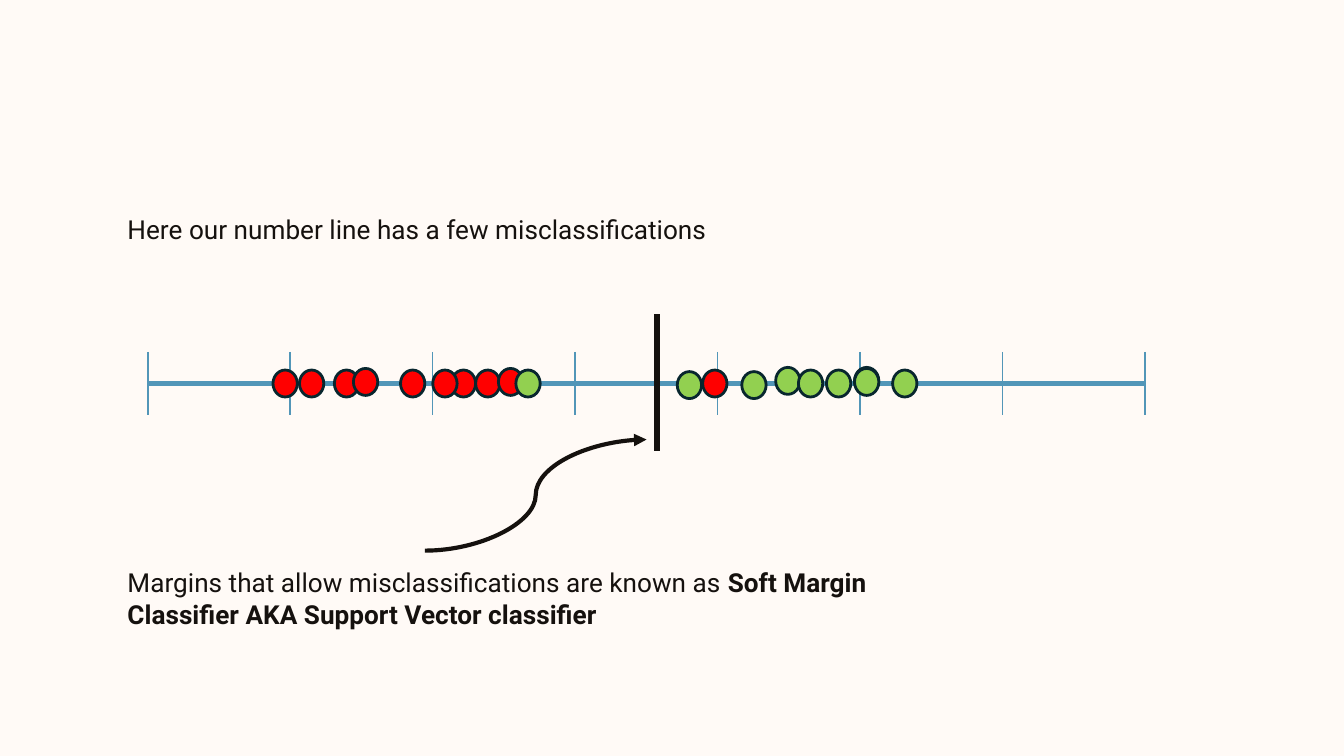
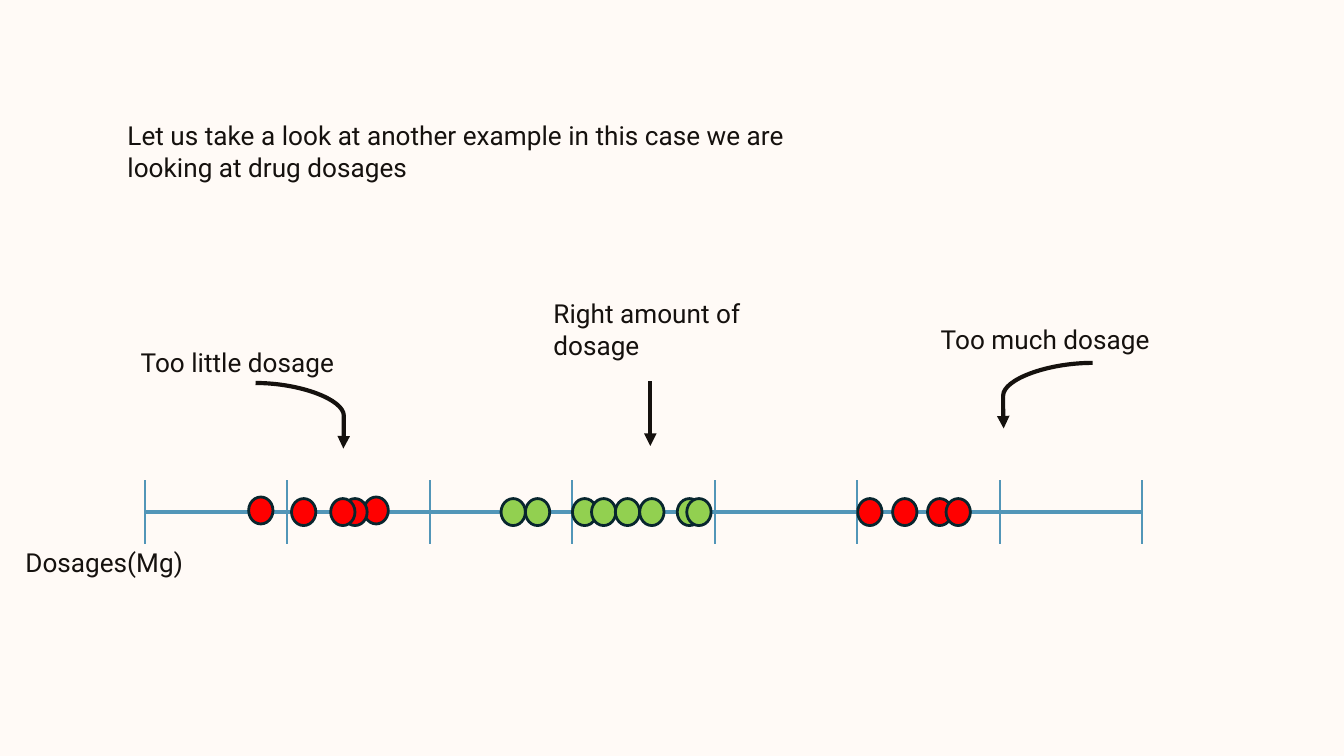
from pptx import Presentation
from pptx import util as u
from pptx.dml.color import RGBColor
from pptx.enum import shapes, text
from pptx.oxml import parse_xml
from pptx.oxml.ns import nsdecls

CREAM = RGBColor(0xFF, 0xFA, 0xF6)
INK = RGBColor(0x15, 0x11, 0x0E)
BLUE = RGBColor(0x52, 0x96, 0xB8)
EDGE = RGBColor(0x08, 0x26, 0x2E)
RED = RGBColor(0xFF, 0x00, 0x00)
GREEN = RGBColor(0x92, 0xD0, 0x50)

FONT = "Roboto"
WIDE, SMALL, TALL = 14.55, 4.67, 2.01
LENGTH, PARTS, TICK = 18.85, 7, 0.6
DOT_W, DOT_H = 0.46, 0.51

SLIDES = [
    {
        "axis": (2.79, 7.25),
        "dots": [
            (RED, [5.66, 6.32, 8.53, (6.68, -0.03), 7.57, 8.18, 5.16,
                   8.99, (9.42, -0.03)]),
            (GREEN, [(14.66, -0.05), 15.09, (14.02, 0.03), 15.62,
                     (16.15, -0.05), 16.87, (16.15, -0.03), (12.8, 0.03)]),
            (RED, [13.28]),
            (GREEN, [9.75]),
        ],
        "texts": [
            (2.16, 10.46, WIDE, [
                ("Margins that allow misclassifications are known as ", False),
                ("Soft Margin Classifier AKA Support Vector classifier", True),
            ]),
            (2.16, 3.78, WIDE, [
                ("Here our number line has a few misclassifications", False),
            ]),
        ],
        "margin": (12.42, 5.94, 12.42, 8.53),
        "arrows": [("curve", 8.03, 10.41, 12.22, 8.31, 50000)],
    },
    {
        "axis": (2.74, 9.68),
        "dots": [
            (GREEN, [9.47]),
            (RED, [(6.88, -0.03)]),
            (GREEN, [10.82, 11.18, 9.93, 11.63, 12.09, 12.8, 12.98]),
            (RED, [16.21, 16.87, 17.53, 17.88, 6.48, 6.25,
                   (4.7, -0.03), 5.51]),
        ],
        "texts": [
            (2.16, 2.01, WIDE, [
                ("Let us take a look at another example in this case "
                 "we are looking at drug dosages", False),
            ]),
            (2.41, 6.3, SMALL, [("Too little dosage", False)]),
            (10.21, 5.38, SMALL, [("Right amount of dosage", False)]),
            (17.53, 5.87, SMALL, [("Too much dosage", False)]),
            (0.23, 10.08, WIDE, [("Dosages(Mg)", False)]),
        ],
        "margin": None,
        "arrows": [
            ("curve", 4.83, 7.24, 6.49, 8.48, 100600),
            ("line", 12.29, 7.21, 12.29, 8.43, None),
            ("curve", 20.65, 6.86, 18.97, 8.1, 100600),
        ],
    },
]


def add_line(slide, ends, color, width, kind="line"):
    form = shapes.MSO_CONNECTOR.CURVE if kind == "curve" else shapes.MSO_CONNECTOR.STRAIGHT
    line = slide.shapes.add_connector(form, *[u.Cm(n) for n in ends])
    line.line.color.rgb = color
    line.line.width = u.Pt(width)
    line._element.spPr.append(parse_xml(f"<a:effectLst {nsdecls('a')}/>"))
    return line


def add_arrow(slide, kind, x1, y1, x2, y2, bend):
    arrow = add_line(slide, (x1, y1, x2, y2), INK, 2.25, kind)
    arrow.line._get_or_add_ln().append(
        parse_xml(f'<a:tailEnd {nsdecls("a")} type="triangle"/>'))
    if bend:
        geom = arrow._element.spPr.prstGeom
        geom.get_or_add_avLst().append(
            parse_xml(f'<a:gd {nsdecls("a")} name="adj1" fmla="val {bend}"/>'))


def add_axis(slide, left, mid):
    add_line(slide, (left, mid, left + LENGTH, mid), BLUE, 2.25)
    for i in range(PARTS + 1):
        x = left + i * LENGTH / PARTS
        add_line(slide, (x, mid - TICK, x, mid + TICK), BLUE, 1)


def add_dot(slide, x, mid, color):
    dot = slide.shapes.add_shape(
        shapes.MSO_SHAPE.OVAL, u.Cm(x), u.Cm(mid - DOT_H / 2),
        u.Cm(DOT_W), u.Cm(DOT_H))
    dot.shadow.inherit = False
    dot.fill.solid()
    dot.fill.fore_color.rgb = color
    dot.line.color.rgb = EDGE
    dot.line.width = u.Pt(1.5)


def add_text(slide, x, y, width, runs):
    box = slide.shapes.add_textbox(u.Cm(x), u.Cm(y), u.Cm(width), u.Cm(TALL))
    frame = box.text_frame
    frame.word_wrap = True
    frame.vertical_anchor = text.MSO_ANCHOR.TOP
    frame.margin_left = frame.margin_right = u.Cm(0.25)
    frame.margin_top = frame.margin_bottom = u.Cm(0.25)
    for words, bold in runs:
        run = frame.paragraphs[0].add_run()
        run.text = words
        run.font.name = FONT
        run.font.size = u.Pt(14)
        run.font.bold = bold
        run.font.color.rgb = INK


def build(deck, page):
    slide = deck.slides.add_slide(deck.slide_layouts[6])
    slide.background.fill.solid()
    slide.background.fill.fore_color.rgb = CREAM
    left, mid = page["axis"]
    add_axis(slide, left, mid)
    if page["margin"]:
        add_line(slide, page["margin"], INK, 3)
    for color, spots in page["dots"]:
        for spot in spots:
            x, shift = spot if isinstance(spot, tuple) else (spot, 0)
            add_dot(slide, x, mid + shift, color)
    for item in page["texts"]:
        add_text(slide, *item)
    for arrow in page["arrows"]:
        add_arrow(slide, *arrow)


def main():
    deck = Presentation()
    deck.slide_width, deck.slide_height = u.Cm(25.4), u.Cm(14.29)
    for page in SLIDES:
        build(deck, page)
    deck.save("out.pptx")


if __name__ == "__main__":
    main()
